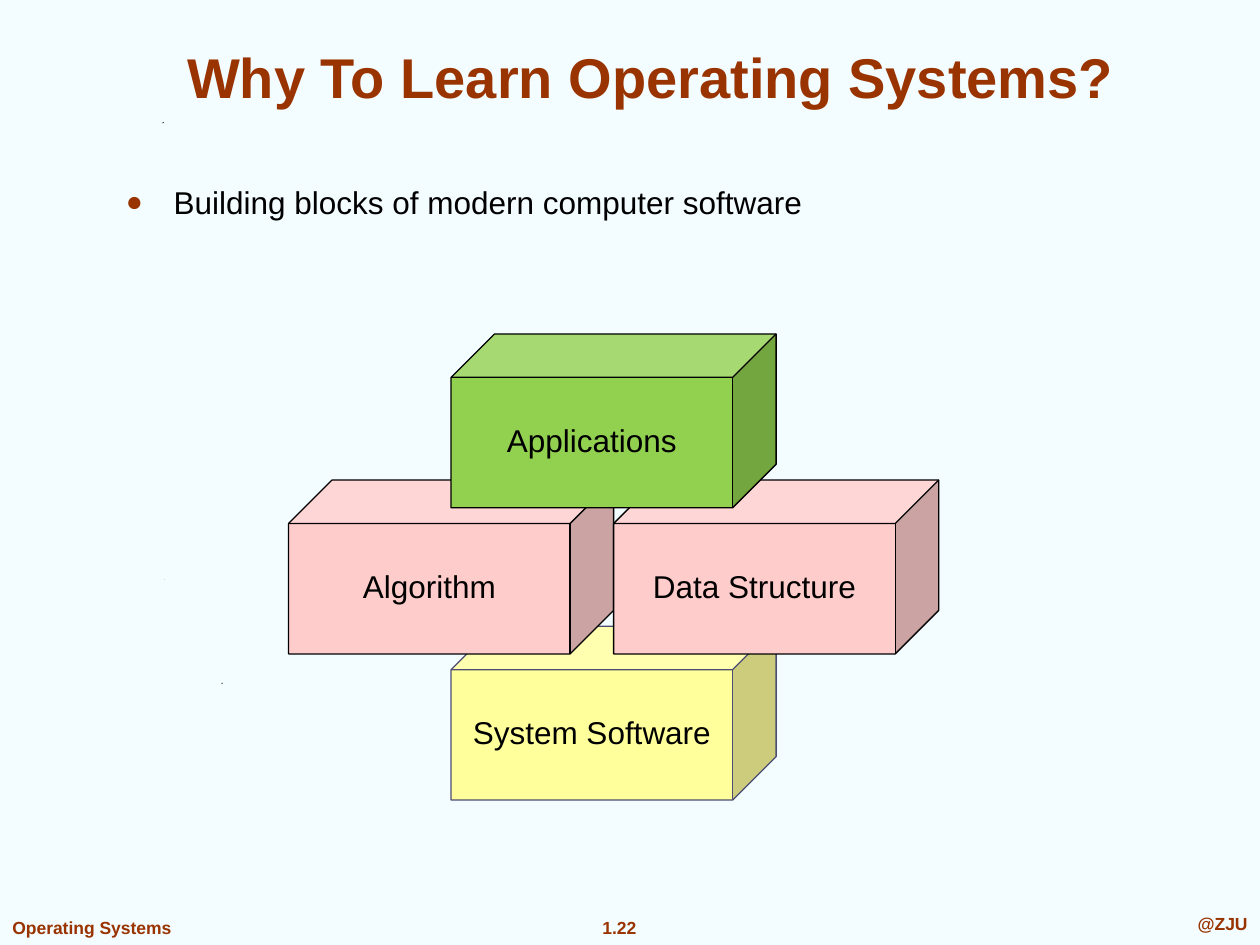
from pptx import Presentation
from pptx.dml.color import RGBColor
from pptx.enum.shapes import MSO_SHAPE
from pptx.enum.text import MSO_ANCHOR as Anchor, MSO_AUTO_SIZE as AutoSize, PP_ALIGN as Align
from pptx.oxml import parse_xml
from pptx.oxml.ns import nsdecls
from pptx.util import Inches, Pt

COLORS = {
    "background": "F3FCFF",
    "accent": "993300",
    "text": "000000",
    "outline": "000000",
    "soft_outline": "4D4D73",
    "yellow": "FFFF9C",
    "pink": "FFCCCC",
    "green": "92D050",
}


def color(name):
    """Return the palette colour with this name."""
    return RGBColor.from_string(COLORS[name])


def write(shape, text, size=18, ink="text", bold=False, align=Align.LEFT,
          anchor=Anchor.TOP, wrap=True, bullet=None):
    """Put one formatted paragraph into a shape."""
    frame = shape.text_frame
    frame.auto_size = AutoSize.NONE
    frame.word_wrap = wrap
    frame.vertical_anchor = anchor
    para = frame.paragraphs[0]
    para.alignment = align
    if bullet:
        add_bullet(para, bullet)
    span = para.add_run()
    span.text = text
    span.font.name = "Arial"
    span.font.size = Pt(size)
    span.font.bold = bold
    span.font.color.rgb = color(ink)


def add_bullet(para, symbol):
    """Give a paragraph a coloured bullet and a hanging indent."""
    props = para._p.get_or_add_pPr()
    props.set("marL", str(Inches(0.38)))
    props.set("indent", str(-Inches(0.38)))
    ns = nsdecls("a")
    for xml in (
        f'<a:buClr {ns}><a:srgbClr val="{COLORS["accent"]}"/></a:buClr>',
        f'<a:buSzPct {ns} val="90000"/>',
        f'<a:buFont {ns} typeface="Arial"/>',
        f'<a:buChar {ns} char="{symbol}"/>',
    ):
        props.append(parse_xml(xml))


def add_text(page, left, top, width, height, text, **style):
    """Add a text box, measured in inches."""
    box = page.shapes.add_textbox(Inches(left), Inches(top), Inches(width), Inches(height))
    write(box, text, **style)


def add_title(page, left, top, width, height, text):
    """Place and format the title placeholder."""
    title = page.shapes.title
    title.left, title.top = Inches(left), Inches(top)
    title.width, title.height = Inches(width), Inches(height)
    write(title, text, size=32, ink="accent", bold=True, align=Align.CENTER,
          anchor=Anchor.BOTTOM)


def add_speck(page, left, top, width, height):
    """Add a tiny triangular ink speck to the background."""
    x, y = Inches(left), Inches(top)
    right, bottom = x + Inches(width), y + Inches(height)
    builder = page.shapes.build_freeform(x, bottom)
    builder.add_line_segments([(right, y), (x, y)], close=True)
    speck = builder.convert_to_shape()
    speck.shadow.inherit = False
    speck.fill.solid()
    speck.fill.fore_color.rgb = color("text")
    speck.line.fill.background()


def add_footer(page, top, height):
    """Add the course name, page number and school along the bottom."""
    style = {"size": 10, "ink": "accent", "bold": True}
    add_text(page, 0, top, 1.47, height, "Operating Systems", wrap=False, **style)
    add_text(page, 4.67, top, 0.49, height, "1.22", wrap=False, align=Align.CENTER, **style)
    add_text(page, 7.1, top - 0.03, 2.9, height, "@ZJU", align=Align.RIGHT, **style)


def add_blocks(page, left, top, block_width, block_height, row_step):
    """Stack the labelled cubes on a grid of half-block columns."""
    blocks = [
        ("System Software", 1, 2, "yellow", "soft_outline"),
        ("Algorithm", 0, 1, "pink", "outline"),
        ("Data Structure", 2, 1, "pink", "outline"),
        ("Applications", 1, 0, "green", "outline"),
    ]
    for label, column, row, fill, outline in blocks:
        cube = page.shapes.add_shape(
            MSO_SHAPE.CUBE,
            Inches(left + column * block_width / 2), Inches(top + row * row_step),
            Inches(block_width), Inches(block_height))
        cube.shadow.inherit = False
        cube.fill.solid()
        cube.fill.fore_color.rgb = color(fill)
        cube.line.color.rgb = color(outline)
        cube.line.width = Pt(0.75)
        write(cube, label, align=Align.CENTER, anchor=Anchor.MIDDLE, wrap=False)
        cube.text_frame.margin_bottom = Inches(0.09)


def main():
    """Build and save the deck."""
    deck = Presentation()
    deck.slide_width, deck.slide_height = Inches(10), Inches(7.5)
    page = deck.slides.add_slide(deck.slide_layouts[5])
    page.background.fill.solid()
    page.background.fill.fore_color.rgb = color("background")
    for left, top, height in ((1.76, 5.42, 0.01), (1.3, 4.6, 0), (1.29, 0.97, 0.01)):
        add_speck(page, left, top, 0.01, height)
    add_footer(page, 7.23, 0.27)
    add_title(page, 0.75, 0.25, 8.83, 0.67, "Why To Learn Operating Systems?")
    add_text(page, 0.9, 1.4, 8.04, 4.9, "Building blocks of modern computer software", bullet="●")
    add_blocks(page, 2.29, 2.65, 2.58, 1.38, 1.16)
    deck.save("out.pptx")


if __name__ == "__main__":
    main()
